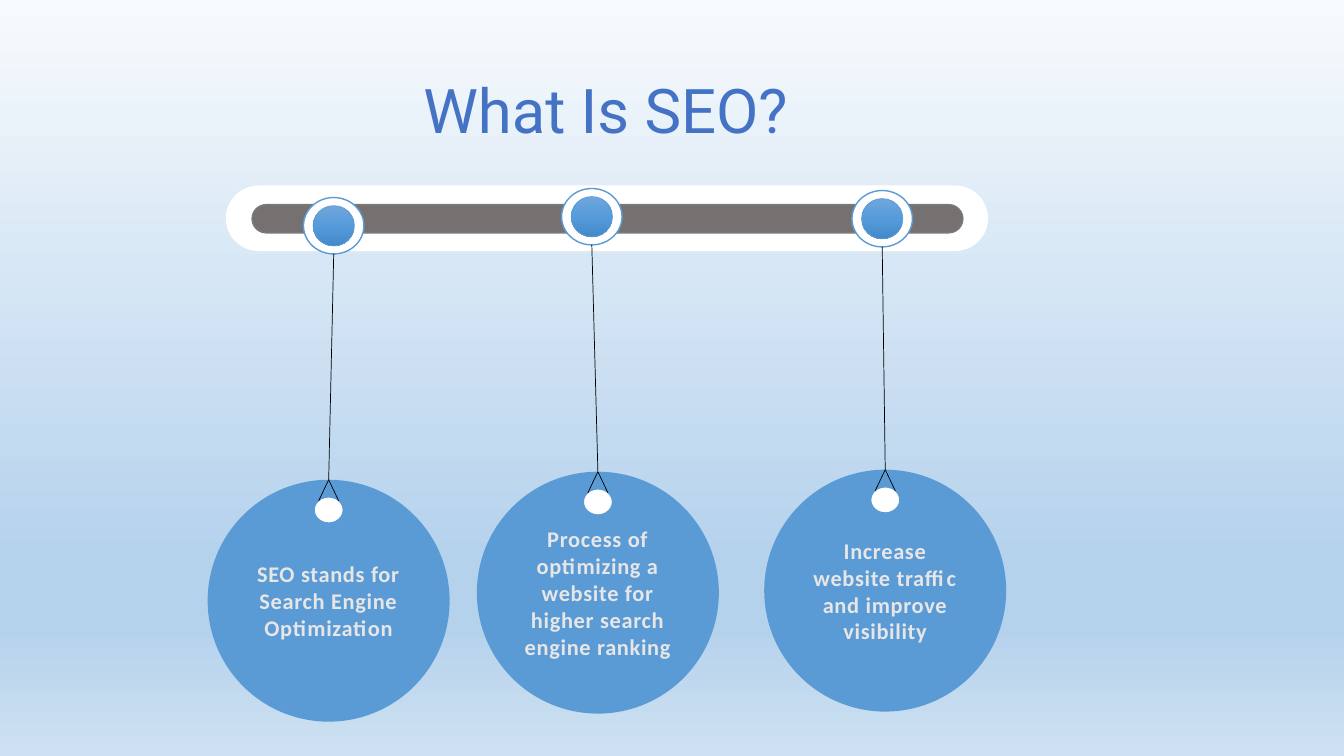
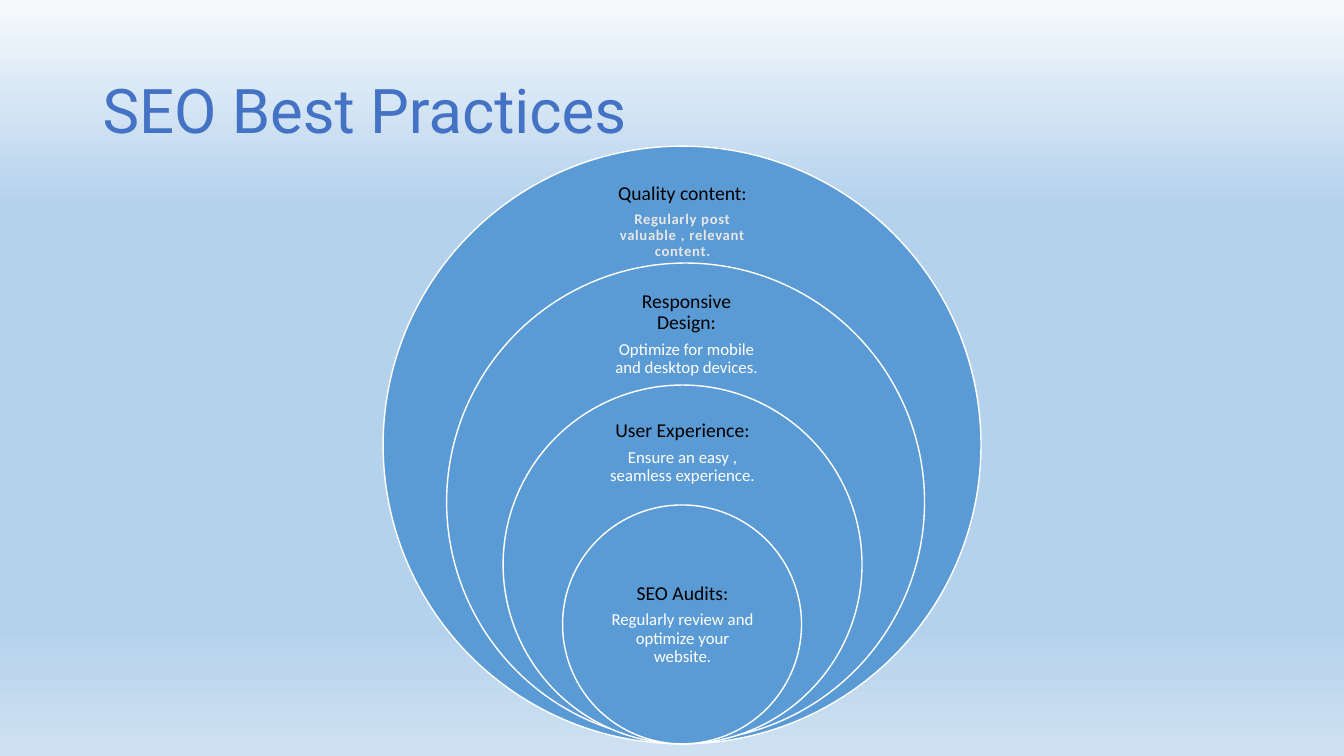
from dataclasses import dataclass

from lxml.etree import SubElement
from pptx import Presentation
from pptx.dml.color import RGBColor
from pptx.enum.shapes import MSO_CONNECTOR, MSO_SHAPE
from pptx.enum.text import MSO_ANCHOR, PP_ALIGN
from pptx.oxml.ns import qn
from pptx.shapes.autoshape import Shape
from pptx.slide import Slide
from pptx.util import Inches, Pt

BLUE, WHITE, BLACK = "5B9BD5", "FFFFFF", "000000"
PALE, GREY, EDGE, TITLE = "E7E6E6", "767171", "7A7A7A", "4472C4"
KNOB = [(0, "71A6DB"), (50, "559BDB"), (100, "448ACA")]
TAG = 2.4
HOLE_W, HOLE_H = 0.29, 0.26
KNOB_W, KNOB_H = 0.6, 0.56
DOT_W, DOT_H = 0.41, 0.4

Stops = list[tuple[int, str]]


@dataclass
class Hanger:
    """A round tag at x, y that hangs from a knob on the bar."""
    text: str
    x: float
    y: float
    knob_x: float
    knob_y: float


@dataclass
class Disk:
    """A circle with a label box of its own."""
    x: float
    y: float
    size: float
    box: tuple[float, float, float, float]
    head: str
    body: str
    strong: bool = False


HANGERS = [
    Hanger("SEO stands for Search Engine Optimization",
           2.06, 4.76, 3.01, 1.96),
    Hanger("Process of optimizing a website for higher search engine ranking",
           4.73, 4.68, 5.57, 1.87),
    Hanger("Increase website traffic and improve visibility",
           7.58, 4.66, 8.45, 1.89),
]

DISKS = [
    Disk(3.8, 1.45, 5.93, (5.94, 1.75, 1.66, 0.89), "Quality content:",
         "Regularly post valuable , relevant content.", strong=True),
    Disk(4.43, 2.61, 4.74, (5.98, 2.89, 1.66, 0.85), "Responsive Design:",
         "Optimize for mobile and desktop devices."),
    Disk(4.99, 3.82, 3.56, (5.94, 4.09, 1.66, 0.8), "User Experience:",
         "Ensure an easy , seamless experience."),
    Disk(5.58, 5.01, 2.37, (5.93, 5.6, 1.68, 1.19), "SEO Audits:",
         "Regularly review and optimize your website."),
]


def rgb(code: str) -> RGBColor:
    return RGBColor.from_string(code)


def shade(fill, root, stops: Stops) -> None:
    """Give a fill inside root a gradient that runs from top to bottom."""
    fill.gradient()
    fill.gradient_angle = 270
    items = root.find(".//" + qn("a:gsLst"))
    items.clear()
    for place, code in stops:
        stop = SubElement(items, qn("a:gs"), pos=str(place * 1000))
        SubElement(stop, qn("a:srgbClr"), val=code)


def add_form(slide: Slide, kind: MSO_SHAPE, x: float, y: float, w: float,
             h: float, fill: str | Stops, line: str = "",
             width: float = 1) -> Shape:
    form = slide.shapes.add_shape(
        kind, Inches(x), Inches(y), Inches(w), Inches(h))
    form.shadow.inherit = False
    if isinstance(fill, str):
        form.fill.solid()
        form.fill.fore_color.rgb = rgb(fill)
    else:
        shade(form.fill, form.element, fill)
    if line:
        form.line.color.rgb = rgb(line)
        form.line.width = Pt(width)
    else:
        form.line.fill.background()
    return form


def add_oval(slide: Slide, x: float, y: float, w: float, h: float,
             fill: str | Stops, line: str = "", width: float = 1) -> Shape:
    return add_form(slide, MSO_SHAPE.OVAL, x, y, w, h, fill, line, width)


def add_line(slide: Slide, x: float, y: float, to_x: float,
             to_y: float) -> None:
    line = slide.shapes.add_connector(
        MSO_CONNECTOR.STRAIGHT, Inches(x), Inches(y),
        Inches(to_x), Inches(to_y))
    line.line.color.rgb = rgb(BLACK)
    line.line.width = Pt(0.5)
    SubElement(line.element.spPr, qn("a:effectLst"))


def style(para, size: float, color: str, strong: bool = False,
          name: str = "Calibri") -> None:
    """Format the runs; strong text is bold and slightly spaced."""
    for run in para.runs:
        font = run.font
        font.name, font.size, font.bold = name, Pt(size), strong
        font.color.rgb = rgb(color)
        if strong:
            run._r.get_or_add_rPr().set("spc", "50")


def add_box(slide: Slide, x: float, y: float, w: float, h: float):
    """Add a wrapping text box and return its text frame."""
    frame = slide.shapes.add_textbox(
        Inches(x), Inches(y), Inches(w), Inches(h)).text_frame
    frame.word_wrap = True
    frame.vertical_anchor = MSO_ANCHOR.MIDDLE
    return frame


def add_page(deck, title: str, left: float, middle: int) -> Slide:
    """Add a slide with its title; middle is where the sky turns blue."""
    slide = deck.slides.add_slide(deck.slide_layouts[6])
    sky = [(0, "F7FAFD"), (middle, "B5D2EC"), (83, "B5D2EC"),
           (100, "CEE1F2")]
    shade(slide.background.fill, slide.element, sky)
    frame = add_box(slide, left, 0.4, 12.42 - left, 1.45)
    frame.text = title
    para = frame.paragraphs[0]
    para.line_spacing = 0.9
    style(para, 44, TITLE, name="Roboto")
    return slide


def add_bar(slide: Slide) -> None:
    kind = MSO_SHAPE.ROUNDED_RECTANGLE
    for bar in (
        add_form(slide, kind, 2.24, 1.84, 7.56, 0.65, WHITE),
        add_form(slide, kind, 2.5, 2.03, 7.05, 0.28, GREY, EDGE),
    ):
        bar.adjustments[0] = 0.5


def add_hanger(slide: Slide, item: Hanger) -> None:
    mid = item.x + TAG / 2
    tag = add_oval(slide, item.x, item.y, TAG, TAG, BLUE)
    frame = tag.text_frame
    frame.word_wrap = True
    frame.vertical_anchor = MSO_ANCHOR.MIDDLE
    frame.text = item.text
    para = frame.paragraphs[0]
    para.alignment = PP_ALIGN.CENTER
    style(para, 16, PALE, strong=True)

    add_oval(slide, mid - HOLE_W / 2, item.y + 0.17, HOLE_W, HOLE_H,
             WHITE, BLUE)
    add_oval(slide, item.knob_x, item.knob_y, KNOB_W, KNOB_H, WHITE, BLUE)
    add_oval(slide, item.knob_x + (KNOB_W - DOT_W) / 2,
             item.knob_y + (KNOB_H - DOT_H) / 2, DOT_W, DOT_H,
             KNOB, BLUE, 0.5)
    add_line(slide, item.knob_x + KNOB_W / 2, item.knob_y + KNOB_H,
             mid, item.y)
    for side in (-0.1, 0.1):
        add_line(slide, mid, item.y, mid + side, item.y + 0.21)


def add_disk(slide: Slide, disk: Disk) -> None:
    add_oval(slide, disk.x, disk.y, disk.size, disk.size, BLUE, WHITE)
    frame = add_box(slide, *disk.box)
    frame.margin_left = frame.margin_right = Inches(0.11)
    frame.margin_top = frame.margin_bottom = Inches(0.11)
    head, body = frame.paragraphs[0], frame.add_paragraph()
    head.text, body.text = disk.head, disk.body
    for para in (head, body):
        para.alignment = PP_ALIGN.CENTER
        para.line_spacing = 0.9
        para.space_after = Pt(5)
    style(head, 14, BLACK)
    if disk.strong:
        style(body, 10.5, PALE, strong=True)
    else:
        style(body, 12, WHITE)


def main() -> None:
    deck = Presentation()
    deck.slide_width, deck.slide_height = Inches(13.33), Inches(7.5)

    intro = add_page(deck, "What Is SEO?", 4.1, 74)
    add_bar(intro)
    for item in HANGERS:
        add_hanger(intro, item)

    tips = add_page(deck, "SEO Best Practices", 0.92, 27)
    for disk in DISKS:
        add_disk(tips, disk)

    deck.save("out.pptx")


if __name__ == "__main__":
    main()
